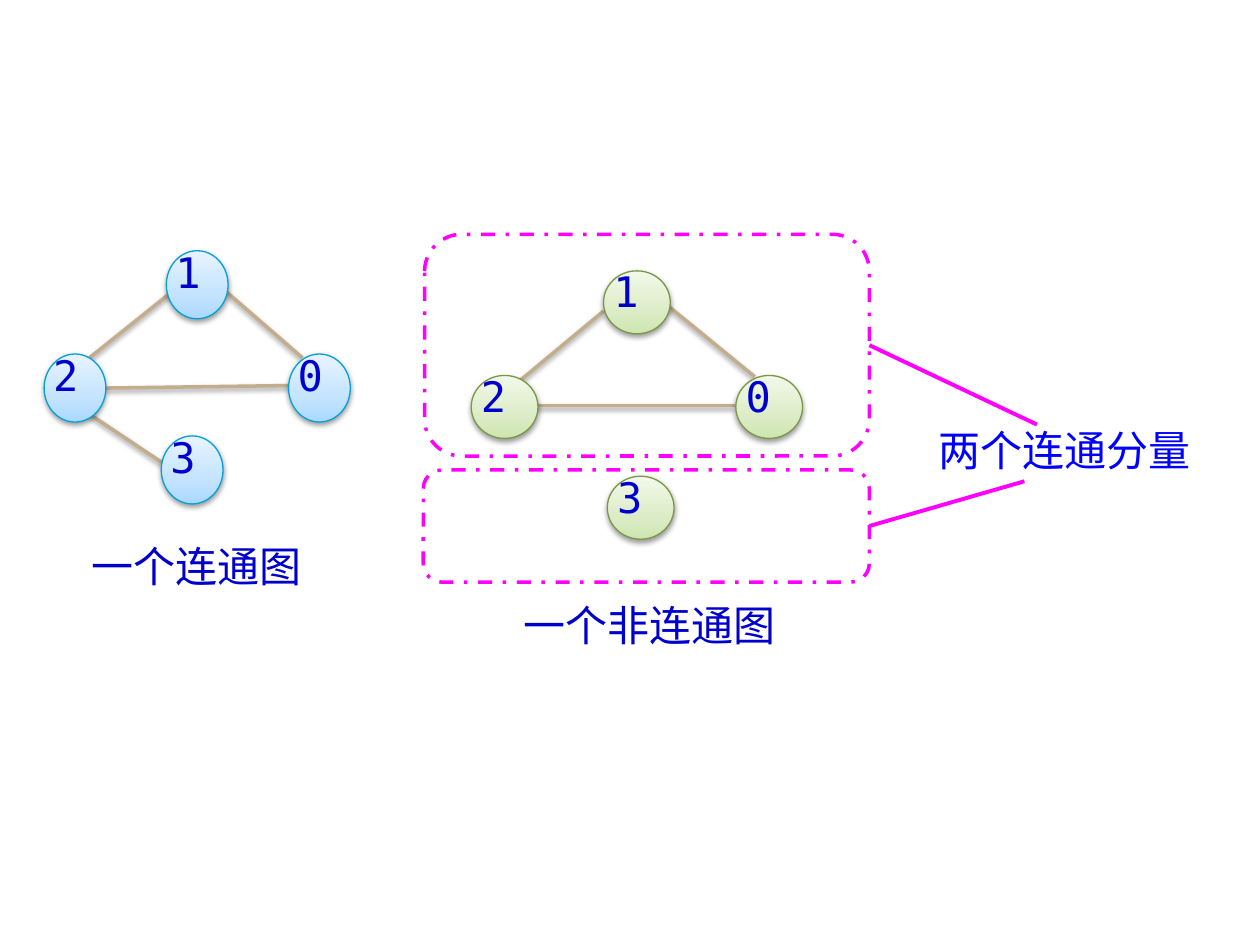
"""Build a slide that contrasts a connected graph with an unconnected one."""
import copy
from typing import NamedTuple

import lxml.etree
import pptx
import pptx.dml.color
import pptx.enum.dml
import pptx.enum.shapes
import pptx.enum.text
import pptx.oxml.ns
import pptx.util

Inches = pptx.util.Inches
Pt = pptx.util.Pt
qn = pptx.oxml.ns.qn
SHAPE = pptx.enum.shapes.MSO_SHAPE

MONO, SANS = "DejaVu Sans Mono", "Noto Sans CJK SC"
NAVY, BLUE, TAN, MAGENTA = "0000CC", "0000FF", "C2AD8D", "FF00FF"
STOPS = (0, 0.35, 1)


class Edge(NamedTuple):
    x1: float
    y1: float
    x2: float
    y2: float


class Node(NamedTuple):
    text: str
    x: float
    y: float


class Graph(NamedTuple):
    width: float
    height: float
    line: str
    gradient: tuple[str, str, str]
    nodes: list[Node]
    edges: list[Edge]


class Label(NamedTuple):
    text: str
    x: float
    y: float
    width: float
    color: str


class Component(NamedTuple):
    x: float
    y: float
    width: float
    height: float
    pointer_x: float
    pointer_y: float


GRAPHS = [
    Graph(0.49, 0.54, "03A0D9", ("ABD8FF", "C3E3FF", "E8F4FF"),
          [Node("1", 1.32, 1.99), Node("0", 2.29, 2.81),
           Node("2", 0.35, 2.81), Node("3", 1.28, 3.46)],
          [Edge(0.71, 2.84, 1.36, 2.32), Edge(0.7, 3.28, 1.3, 3.68),
           Edge(2.3, 3.06, 0.84, 3.08), Edge(1.8, 2.32, 2.4, 2.84)]),
    Graph(0.53, 0.5, "7A9746", ("CDE6AF", "DCECC7", "F1F9E9"),
          [Node("1", 4.79, 2.15), Node("0", 5.84, 2.98),
           Node("2", 3.74, 2.98), Node("3", 4.82, 3.78)],
          [Edge(5.99, 2.99, 5.28, 2.41), Edge(4.79, 2.47, 4.08, 3.06),
           Edge(4.24, 3.22, 5.83, 3.22)]),
]
LABELS = [
    Label("一个连通图", 0.63, 4.24, 2.15, NAVY),
    Label("一个非连通图", 4.06, 4.71, 2.25, NAVY),
    Label("两个连通分量", 7.35, 3.32, 2.29, BLUE),
]
COMPONENTS = [
    Component(3.37, 1.86, 3.53, 1.76, 8.23, 3.37),
    Component(3.36, 3.73, 3.54, 0.89, 8.13, 3.82),
]


def rgb(color: str) -> pptx.dml.color.RGBColor:
    """Turn a hex string into a colour."""
    return pptx.dml.color.RGBColor.from_string(color)


def set_line(s, color: str, width: float) -> None:
    """Set the colour and the width in points of a line."""
    s.line.color.rgb = rgb(color)
    s.line.width = Pt(width)


def set_effects(s, shadow: bool) -> None:
    """Replace the theme effects by a soft shadow or by nothing."""
    effects = lxml.etree.SubElement(s._element.spPr, qn("a:effectLst"))
    if shadow:
        outer = lxml.etree.SubElement(
            effects, qn("a:outerShdw"), blurRad=str(Pt(3.1)), dist=str(Pt(1.6)),
            dir="5400000", rotWithShape="0")
        color = lxml.etree.SubElement(outer, qn("a:srgbClr"), val="000000")
        lxml.etree.SubElement(color, qn("a:alpha"), val="38000")


def set_gradient(s, colors: tuple[str, str, str]) -> None:
    """Fill a shape with three colours that run upwards."""
    s.fill.gradient()
    s.fill.gradient_angle = 90
    stops = s._element.spPr.find(".//" + qn("a:gsLst"))
    stops.append(copy.deepcopy(stops[-1]))
    for stop, position, color in zip(s.fill.gradient_stops, STOPS, colors):
        stop.position = position
        stop.color.rgb = rgb(color)


def set_text(tf, text: str, font: str, color: str):
    """Write one left-aligned paragraph and return it."""
    p = tf.paragraphs[0]
    p.text = text
    p.alignment = pptx.enum.text.PP_ALIGN.LEFT
    p.font.size = Pt(24)
    p.font.name = font
    p.font.color.rgb = rgb(color)
    lxml.etree.SubElement(p.font._element, qn("a:ea"), typeface=font)
    return p


def add_line(slide, edge: Edge, color: str, width: float, shadow: bool):
    """Draw a straight connector and return it."""
    s = slide.shapes.add_connector(
        pptx.enum.shapes.MSO_CONNECTOR.STRAIGHT, *map(Inches, edge))
    set_line(s, color, width)
    set_effects(s, shadow)
    return s


def add_node(slide, node: Node, graph: Graph) -> None:
    """Draw one numbered vertex of a graph."""
    sp = slide.shapes.add_shape(
        SHAPE.OVAL, Inches(node.x), Inches(node.y),
        Inches(graph.width), Inches(graph.height))
    set_gradient(sp, graph.gradient)
    set_line(sp, graph.line, 0.75)
    set_effects(sp, True)
    tf = sp.text_frame
    tf.margin_left = tf.margin_right = tf.margin_bottom = 0
    tf.margin_top = Inches(0.12)
    tf.vertical_anchor = pptx.enum.text.MSO_ANCHOR.TOP
    set_text(tf, node.text, MONO, NAVY).line_spacing = Pt(12)


def add_graph(slide, graph: Graph) -> None:
    """Draw the edges of a graph and its vertices over them."""
    for edge in graph.edges:
        add_line(slide, edge, TAN, 2, True)
    for node in graph.nodes:
        add_node(slide, node, graph)


def add_label(slide, label: Label) -> None:
    """Write one caption."""
    tf = slide.shapes.add_textbox(
        Inches(label.x), Inches(label.y), Inches(label.width), Inches(0.5)).text_frame
    tf.word_wrap = True
    tf.auto_size = pptx.enum.text.MSO_AUTO_SIZE.SHAPE_TO_FIT_TEXT
    set_text(tf, label.text, SANS, label.color)


def add_component(slide, c: Component) -> None:
    """Frame a component and point from its right side to the caption."""
    sp = slide.shapes.add_shape(
        SHAPE.ROUNDED_RECTANGLE, Inches(c.x), Inches(c.y),
        Inches(c.width), Inches(c.height))
    sp.fill.background()
    set_line(sp, MAGENTA, 2)
    sp.line.dash_style = pptx.enum.dml.MSO_LINE.DASH_DOT
    sp.shadow.inherit = False
    pointer = Edge(c.x + c.width, c.y + c.height / 2, c.pointer_x, c.pointer_y)
    add_line(slide, pointer, MAGENTA, 2.25, False).begin_connect(sp, 3)


def main() -> None:
    """Build and save the slide."""
    prs = pptx.Presentation()
    prs.slide_width, prs.slide_height = Inches(10), Inches(7.5)
    slide = prs.slides.add_slide(prs.slide_layouts[6])
    for graph in GRAPHS:
        add_graph(slide, graph)
    for component in COMPONENTS:
        add_component(slide, component)
    for label in LABELS:
        add_label(slide, label)
    prs.save("out.pptx")


if __name__ == "__main__":
    main()
